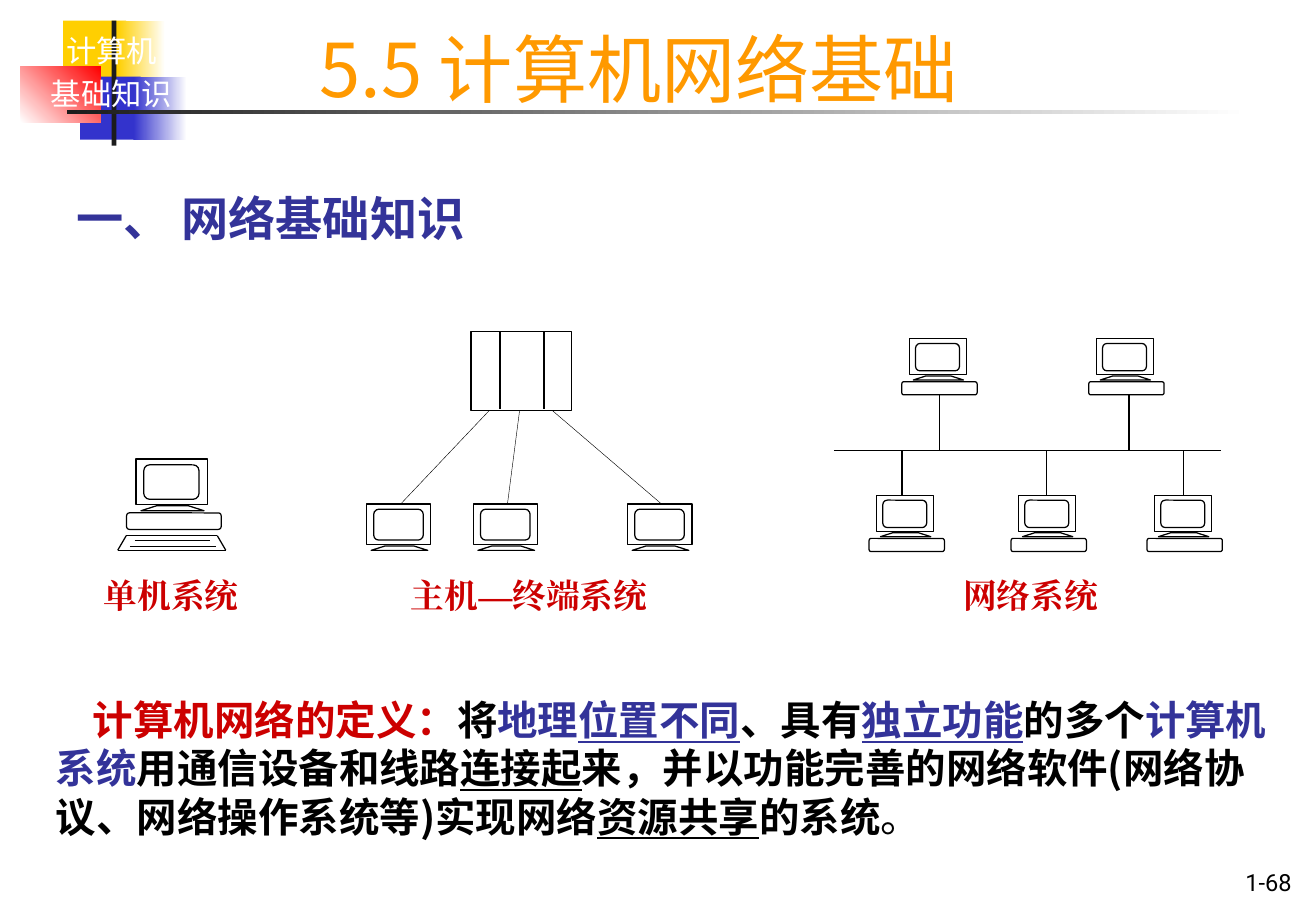
from lxml.etree import SubElement
from pptx import Presentation
from pptx.enum.shapes import MSO_CONNECTOR as Connector, MSO_SHAPE as Shape
from pptx.enum.text import PP_ALIGN as Align
from pptx.dml.color import RGBColor
from pptx.oxml.ns import qn
from pptx.util import Inches, Pt

COLORS = {
    "yellow": "FFCF01", "blue": "3333CC", "red": "FF0000", "dark": "1C1C1C",
    "white": "FFFFFF", "black": "000000", "navy": "333399",
    "crimson": "CC0000", "orange": "FF9900",
}
SANS, LATIN, SERIF = "Noto Sans CJK SC", "Roboto", "Times New Roman"
COLUMNS, ROWS = 108.4, 75


def color(name):
    """Turn a palette name into a colour value."""
    return RGBColor.from_string(COLORS[name])


class NetworkSlide:
    """Draws styled elements on a grid of tenth-of-an-inch columns and rows."""

    def __init__(self, deck):
        """Add a blank page and remember its grid."""
        deck.slide_width, deck.slide_height = self.cells(COLUMNS, ROWS)
        self.page = deck.slides.add_slide(deck.slide_layouts[6])
        self.shapes = self.page.shapes

    def cells(self, *lengths):
        """Convert grid lengths to slide units."""
        return [Inches(length / 10) for length in lengths]

    def outline(self, shape, weight=0.75):
        """Give a shape a white fill and a black outline."""
        shape.shadow.inherit = False
        shape.fill.solid()
        shape.fill.fore_color.rgb = color("white")
        shape.line.color.rgb = color("black")
        shape.line.width = Pt(weight)

    def box(self, left, top, width, height, kind=Shape.RECTANGLE):
        """Draw an outlined preset shape."""
        self.outline(self.shapes.add_shape(kind, *self.cells(left, top, width, height)))

    def band(self, left, top, width, height, start, end=None, angle=0):
        """Draw a borderless block in one colour or a gradient."""
        block = self.shapes.add_shape(Shape.RECTANGLE, *self.cells(left, top, width, height))
        block.shadow.inherit = False
        block.line.fill.background()
        if end is None:
            block.fill.solid()
            block.fill.fore_color.rgb = color(start)
            return
        block.fill.gradient()
        block.fill.gradient_angle = angle
        for stop, name in zip(block.fill.gradient_stops, (start, end)):
            stop.color.rgb = color(name)

    def line(self, x1, y1, x2, y2, weight=0.75):
        """Draw a straight black line."""
        wire = self.shapes.add_connector(Connector.STRAIGHT, *self.cells(x1, y1, x2, y2))
        wire.line.color.rgb = color("black")
        wire.line.width = Pt(weight)
        SubElement(wire.element.spPr, qn("a:effectLst"))

    def monitor(self, left, top, width, base=False):
        """Draw a screen on its stand, with a system unit below if asked."""
        height = 0.63 * width
        if base:
            self.box(left - 0.13 * width, top + 0.75 * width,
                     1.32 * width, 0.23 * width, Shape.ROUNDED_RECTANGLE)
        self.box(left, top, width, height)
        self.box(left + 0.11 * width, top + 0.08 * width,
                 0.77 * width, 0.48 * width, Shape.ROUNDED_RECTANGLE)
        neck, foot = top + 0.65 * width, top + 0.72 * width
        corners = [self.cells(left + share * width, y) for share, y in
                   ((0.07, foot), (0.29, neck), (0.73, neck), (0.95, foot))]
        stand = self.shapes.build_freeform(*corners[0], scale=1.0)
        stand.add_line_segments(corners[1:], close=True)
        self.outline(stand.convert_to_shape())

    def text(self, left, top, width, height, paragraphs, size, pitch, font=SANS,
             tint="black", bold=False, align=Align.LEFT, indent=0):
        """Write paragraphs, each a list of (words, colour, underline, bold) spans."""
        frame = self.shapes.add_textbox(*self.cells(left, top, width, height)).text_frame
        frame.word_wrap = True
        frame.margin_left = frame.margin_right = frame.margin_top = frame.margin_bottom = 0
        for index, spans in enumerate(paragraphs):
            para = frame.add_paragraph() if index else frame.paragraphs[0]
            para.alignment = align
            para.line_spacing = Pt(pitch)
            para.font.size, para.font.name, para.font.bold = Pt(size), font, bold
            para.font.color.rgb = color(tint)
            para._p.get_or_add_pPr().set("indent", str(self.cells(indent)[0]))
            for words, *style in spans:
                span = para.add_run()
                span.text = words
                span.font.size, span.font.name = Pt(size), font
                name, underline, heavy = style or (tint, False, bold)
                span.font.color.rgb = color(name)
                span.font.underline, span.font.bold = underline, heavy
                SubElement(span.font._element, qn("a:ea"), typeface=font)


def draw_header(slide):
    """Draw the corner blocks, the rule and the title."""
    slide.band(5.2, 1.7, 5.2, 5.2, "yellow")
    slide.band(9.7, 1.7, 3.9, 5.2, "yellow", "white")
    slide.band(6.6, 6.3, 5, 5.2, "blue")
    slide.band(11, 6.3, 4.4, 5.2, "blue", "white")
    slide.band(1.7, 5.5, 6.6, 4.6, "white", "red", 45)
    slide.band(9.2, 1.7, 0.4, 10.3, "dark")
    slide.band(5.5, 9.1, 97.4, 0.3, "dark", "white")
    slide.text(2.9, 2, 12.6, 7.7, [[("计算机",)], [("基础知识",)]],
               18, 26, LATIN, "white", align=Align.CENTER)
    slide.text(26.3, 2, 75, 7.2, [[("5.5 计算机网络基础",)]], 44, 52, tint="orange")


def draw_single_computer(slide):
    """Draw the stand-alone computer with its keyboard."""
    slide.monitor(11.2, 37.8, 5.9, base=True)
    for x1, y1, x2, y2 in ((10.4, 44.1, 17.9, 44.1), (9.7, 45.3, 18.6, 45.3),
                           (17.9, 44.1, 18.6, 45.3), (10.4, 44.1, 9.7, 45.3)):
        slide.line(x1, y1, x2, y2)
    slide.line(11.1, 44.5, 17.3, 44.5, 0.25)
    slide.line(10.7, 45, 17.8, 45, 0.25)


def draw_host_terminals(slide):
    """Draw the host cabinet and its terminals."""
    slide.box(38.8, 27.3, 8.3, 6.5)
    for x in (41.2, 44.8):
        slide.line(x, 27.3, x, 33.7, 1.5)
    for left, port in ((30.2, 40.3), (39, 42.8), (51.7, 45.5)):
        slide.monitor(left, 41.5, 5.3)
        slide.line(port, 33.8, left + 2.8, 41.5, 0.25)


def draw_network(slide):
    """Draw the bus and the computers above and below it."""
    bus = 37.1
    for left, top, drop in ((74.9, 27.9, 77.4), (90.3, 27.9, 93), (72.2, 40.8, 74.3),
                            (83.9, 40.8, 86.2), (95.1, 40.8, 97.5)):
        slide.monitor(left, top, 4.7, base=True)
        slide.line(drop, bus, drop, 32.5 if top < bus else top)
    slide.line(68.7, bus, 100.6, bus, 1)


def draw_words(slide):
    """Write the heading, captions, definition and page number."""
    slide.text(6.3, 15.5, 60, 4.8, [[("一、 网络基础知识",)]], 28, 34,
               tint="navy", bold=True)
    for caption, middle in (("单机系统", 14.1), ("主机—终端系统", 43.6), ("网络系统", 84.9)):
        slide.text(middle - 12, 47.3, 24, 3.4, [[(caption,)]], 20, 24, SERIF,
                   "crimson", True, Align.CENTER)
    definition = [
        ("计算机网络的定义：", "crimson", False, True), ("将",),
        ("地理", "navy", False, True), ("位置不同", "navy", True, True), ("、具有",),
        ("独立功能", "navy", True, True), ("的多个",),
        ("计算机系统", "navy", False, True), ("用通信设备和线路",),
        ("连接起", "black", True, True),
        ("来，并以功能完善的网络软件(网络协议、网络操作系统等)实现网络",),
        ("资源共享", "black", True, True), ("的系统",), ("。", "black", False, False),
    ]
    slide.text(4.6, 57.3, 100.2, 12, [definition], 24, 28.5, bold=True, indent=3.05)
    slide.text(97.5, 71.4, 8.9, 2.4, [[("1-68",)]], 14, 17, LATIN, align=Align.RIGHT)


def main():
    """Build and save the slide."""
    deck = Presentation()
    slide = NetworkSlide(deck)
    for draw in (draw_header, draw_single_computer, draw_host_terminals,
                 draw_network, draw_words):
        draw(slide)
    deck.save("out.pptx")


if __name__ == "__main__":
    main()
